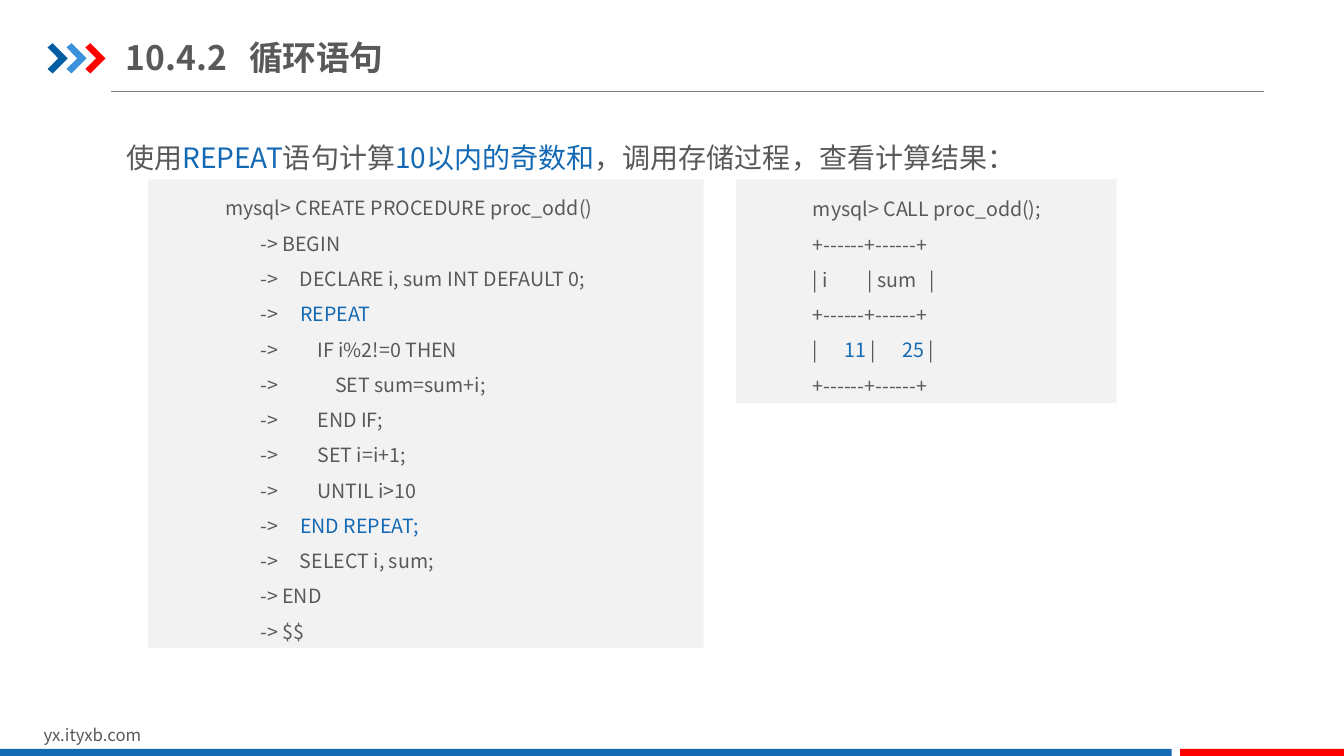
from lxml import etree
from pptx import Presentation
from pptx import util as u
from pptx.dml.color import RGBColor
from pptx.enum import shapes, text
from pptx.oxml.ns import qn

Pt = u.Pt
FACE = "Noto Sans CJK SC"
COLORS = {
    "ink": "595959", "key": "1369B3", "panel": "F2F2F2", "rule": "808080",
    "bar": "1369B2", "red": "FF0000", "navy": "005DA2", "sky": "3992DB",
}
# Asterisks enclose the highlighted words.
INTRO = "使用*REPEAT*语句计算*10以内的奇数和*，调用存储过程，查看计算结果："
CODE = """mysql> CREATE PROCEDURE proc_odd()
        -> BEGIN
        ->     DECLARE i, sum INT DEFAULT 0;
        ->     *REPEAT*
        ->         IF i%2!=0 THEN
        ->             SET sum=sum+i;
        ->         END IF;
        ->         SET i=i+1;
        ->         UNTIL i>10
        ->     *END REPEAT;*
        ->     SELECT i, sum;
        -> END
        -> $$"""
RESULT = """mysql> CALL proc_odd();
+------+------+
| i         | sum   |
+------+------+
|      *11* |      *25* |
+------+------+"""


def color(name):
    return RGBColor.from_string(COLORS[name])


def paint(shape, name):
    shape.fill.solid()
    shape.fill.fore_color.rgb = color(name)
    shape.line.fill.background()
    shape.shadow.inherit = False


def write(para, line, size, bold=False):
    """Fill a paragraph, colouring the words between asterisks."""
    para.alignment = text.PP_ALIGN.LEFT
    font = para.font
    font.size, font.name, font.bold = Pt(size), FACE, bold
    font.color.rgb = color("ink")
    etree.SubElement(font._element, qn("a:ea")).set("typeface", FACE)
    for i, part in enumerate(line.split("*")):
        if part:
            run = para.add_run()
            run.text = part
            if i % 2:
                run.font.color.rgb = color("key")


def add_label(slide, x, y, w, h, line, size, spacing=1.0):
    frame = slide.shapes.add_textbox(Pt(x), Pt(y), Pt(w), Pt(h)).text_frame
    frame.word_wrap = True
    frame.auto_size = text.MSO_AUTO_SIZE.SHAPE_TO_FIT_TEXT
    para = frame.paragraphs[0]
    para.line_spacing = spacing
    write(para, line, size)


def add_title(slide, number, name):
    box = slide.shapes.add_textbox(Pt(90), Pt(21), Pt(412.5), Pt(39.6))
    frame = box.text_frame
    frame.word_wrap = True
    frame.vertical_anchor = text.MSO_ANCHOR.MIDDLE
    frame.margin_left = frame.margin_right = 0
    frame.margin_top = frame.margin_bottom = Pt(5)
    para = frame.paragraphs[0]
    tabs = etree.SubElement(para._p.get_or_add_pPr(), qn("a:tabLst"))
    etree.SubElement(tabs, qn("a:tab"), pos=str(Pt(88)), algn="l")
    write(para, f"{number}\t{name}", 24, bold=True)


def add_rect(slide, x, y, w, h, fill):
    rect = slide.shapes.add_shape(
        shapes.MSO_SHAPE.RECTANGLE, Pt(x), Pt(y), Pt(w), Pt(h))
    paint(rect, fill)
    return rect


def add_code(slide, x, w, h, code):
    frame = add_rect(slide, x, 128.2, w, h, "panel").text_frame
    frame.word_wrap = True
    frame.vertical_anchor = text.MSO_ANCHOR.MIDDLE
    frame.auto_size = text.MSO_AUTO_SIZE.SHAPE_TO_FIT_TEXT
    for i, line in enumerate(code.splitlines()):
        para = frame.add_paragraph() if i else frame.paragraphs[0]
        para.level = 1
        para.line_spacing = 1.5
        props = para._p.get_or_add_pPr()
        props.set("marL", str(Pt(48)))
        props.set("indent", "0")
        write(para, line, 14)


def add_arrow(slide, x, y, fill):
    """Draw one chevron of the header mark."""
    points = [(0, 3), (3.6, 0), (14.4, 10.8), (3.6, 21.6), (0, 18.4), (7.7, 10.8)]
    spots = [(Pt(x + dx), Pt(y + dy)) for dx, dy in points]
    form = slide.shapes.build_freeform(*spots[0])
    form.add_line_segments(spots[1:], close=True)
    paint(form.convert_to_shape(), fill)


def add_rule(slide, x, y, end):
    rule = slide.shapes.add_connector(
        shapes.MSO_CONNECTOR.STRAIGHT, Pt(x), Pt(y), Pt(end), Pt(y))
    rule.line.width = Pt(0.75)
    rule.line.color.rgb = color("rule")
    etree.SubElement(rule._element.spPr, qn("a:effectLst"))


def main():
    deck = Presentation()
    deck.slide_width, deck.slide_height = Pt(960), Pt(540)
    slide = deck.slides.add_slide(deck.slide_layouts[6])

    add_rule(slide, 79.3, 65.5, 903)
    for i, fill in enumerate(("navy", "sky", "red")):
        add_arrow(slide, 34 + 13.5 * i, 30.9, fill)
    add_label(slide, 24, 514, 229, 21.8, "yx.ityxb.com", 12)
    add_rect(slide, 0, 535, 837, 6.3, "bar")
    add_rect(slide, 843, 535, 117, 6.3, "red")

    add_label(slide, 83, 85, 788, 39.6, INTRO, 20, 1.5)
    add_code(slide, 105.8, 396.8, 334.8, CODE)
    add_title(slide, "10.4.2", "循环语句")
    add_code(slide, 525.6, 272, 159.8, RESULT)
    deck.save("out.pptx")


if __name__ == "__main__":
    main()
